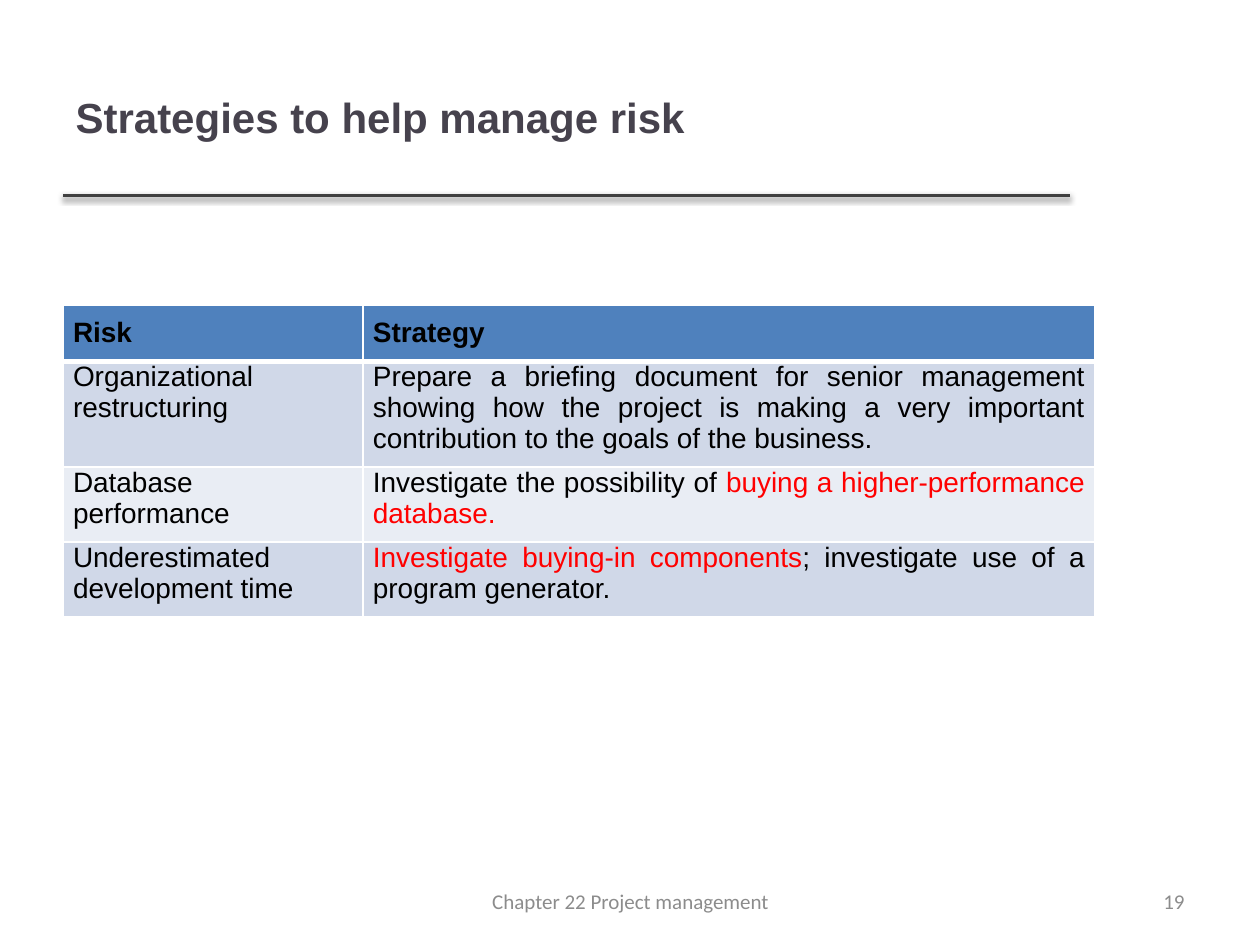
from lxml import etree
from pptx import Presentation
from pptx.dml.color import RGBColor
from pptx.enum.shapes import MSO_CONNECTOR as Link
from pptx.enum.text import MSO_ANCHOR as Anchor, PP_ALIGN as Align
from pptx.oxml import parse_xml
from pptx.oxml.ns import nsdecls, qn
from pptx.util import Inches, Pt

COLS, ROWS = 20, 15
BLACK, WHITE, RED, GREY = "000000", "FFFFFF", "FF0000", "8C8C8C"
HEAD, BANDS = "4F81BD", ("D0D8E8", "E9EDF4")

TABLE = [
    ([("Risk", BLACK)], [("Strategy", BLACK)]),
    ([("Organizational restructuring", BLACK)],
     [("Prepare a briefing document for senior management showing how the "
       "project is making a very important contribution to the goals of "
       "the business.", BLACK)]),
    ([("Database performance", BLACK)],
     [("Investigate the possibility of ", BLACK),
      ("buying a higher-performance database.", RED)]),
    ([("Underestimated development time", BLACK)],
     [("Investigate buying-in components", RED),
      ("; investigate use of a program generator.", BLACK)]),
]


def color(code):
    return RGBColor.from_string(code)


class Deck:
    """Holds the style and the current slide; lengths are grid units."""
    sans, small = "Arial", "Calibri"

    def __init__(self):
        self.prs = Presentation()
        self.prs.slide_width, self.prs.slide_height = Inches(10), Inches(7.5)
        self.unit = self.prs.slide_width / COLS, self.prs.slide_height / ROWS
        self.slide = self.prs.slides.add_slide(self.prs.slide_layouts[5])

    def grid(self, *vals):
        """Turn alternating column and row counts into lengths."""
        return [int(v * self.unit[i % 2]) for i, v in enumerate(vals)]

    def add_runs(self, frame, runs, size, font, align, bold=False):
        para = frame.paragraphs[0]
        para.alignment = align
        for text, code in runs:
            run = para.add_run()
            run.text = text
            run.font.size, run.font.name, run.font.bold = Pt(size), font, bold
            run.font.color.rgb = color(code)

    def title(self, text, *box):
        shape = self.slide.shapes.title
        shape.left, shape.top, shape.width, shape.height = self.grid(*box)
        shape.text_frame.vertical_anchor = Anchor.MIDDLE
        self.add_runs(shape.text_frame, [(text, "46424D")], 24, self.sans,
                      Align.LEFT, True)

    def rule(self, *ends):
        line = self.slide.shapes.add_connector(Link.STRAIGHT, *self.grid(*ends))
        line.line.width = Pt(2)
        line.line.color.rgb = color("404040")
        line._element.spPr.append(parse_xml(
            f'<a:effectLst {nsdecls("a")}><a:outerShdw blurRad="{Pt(3.1)}" '
            f'dist="{Pt(1.6)}" dir="5400000" rotWithShape="0">'
            f'<a:srgbClr val="{BLACK}"><a:alpha val="38000"/></a:srgbClr>'
            '</a:outerShdw></a:effectLst>'))

    def label(self, text, align, *box):
        frame = self.slide.shapes.add_textbox(*self.grid(*box)).text_frame
        frame.word_wrap = True
        frame.vertical_anchor = Anchor.MIDDLE
        self.add_runs(frame, [(text, GREY)], 12, self.small, align)

    def edges(self, cell, base):
        """Draw white cell borders, the bottom one as wide as base."""
        props = cell._tc.get_or_add_tcPr()
        widths = {"lnL": 1, "lnR": 1, "lnT": 1, "lnB": base}
        for i, (tag, wide) in enumerate(widths.items()):
            edge = etree.Element(qn(f"a:{tag}"), w=str(Pt(wide)))
            fill = etree.SubElement(edge, qn("a:solidFill"))
            etree.SubElement(fill, qn("a:srgbClr"), val=WHITE)
            props.insert(i, edge)

    def table(self, data, left, top, wides, highs):
        box = self.grid(left, top, sum(wides), sum(highs))
        table = self.slide.shapes.add_table(
            len(highs), len(wides), *box).table
        for col, wide in zip(table.columns, wides):
            col.width = self.grid(wide)[0]
        for r, (row, high) in enumerate(zip(data, highs)):
            table.rows[r].height = self.grid(0, high)[1]
            head = r == 0
            for c, runs in enumerate(row):
                cell = table.cell(r, c)
                cell.margin_left = cell.margin_right = Inches(0.08)
                cell.margin_top = Inches(0.1 if head else 0)
                cell.margin_bottom = Inches(0.1)
                cell.fill.solid()
                cell.fill.fore_color.rgb = color(
                    HEAD if head else BANDS[(r - 1) % 2])
                self.edges(cell, 3 if head else 1)
                align = Align.JUSTIFY if head or c else Align.LEFT
                self.add_runs(cell.text_frame, runs, 16, self.sans, align, head)


def main():
    deck = Deck()
    deck.rule(1, 3.1, 16.98, 3.1)
    deck.title("Strategies to help manage risk", 1, 0.6, 15.96, 2.5)
    deck.table(TABLE, 1, 4.84, (4.76, 11.62), (0.87, 1.68, 1.19, 1.19))
    deck.label("19", Align.RIGHT, 14.34, 13.9, 4.66, 0.8)
    deck.label("Chapter 22 Project management", Align.CENTER,
               6.84, 13.9, 6.34, 0.8)
    deck.prs.save("out.pptx")


if __name__ == "__main__":
    main()
